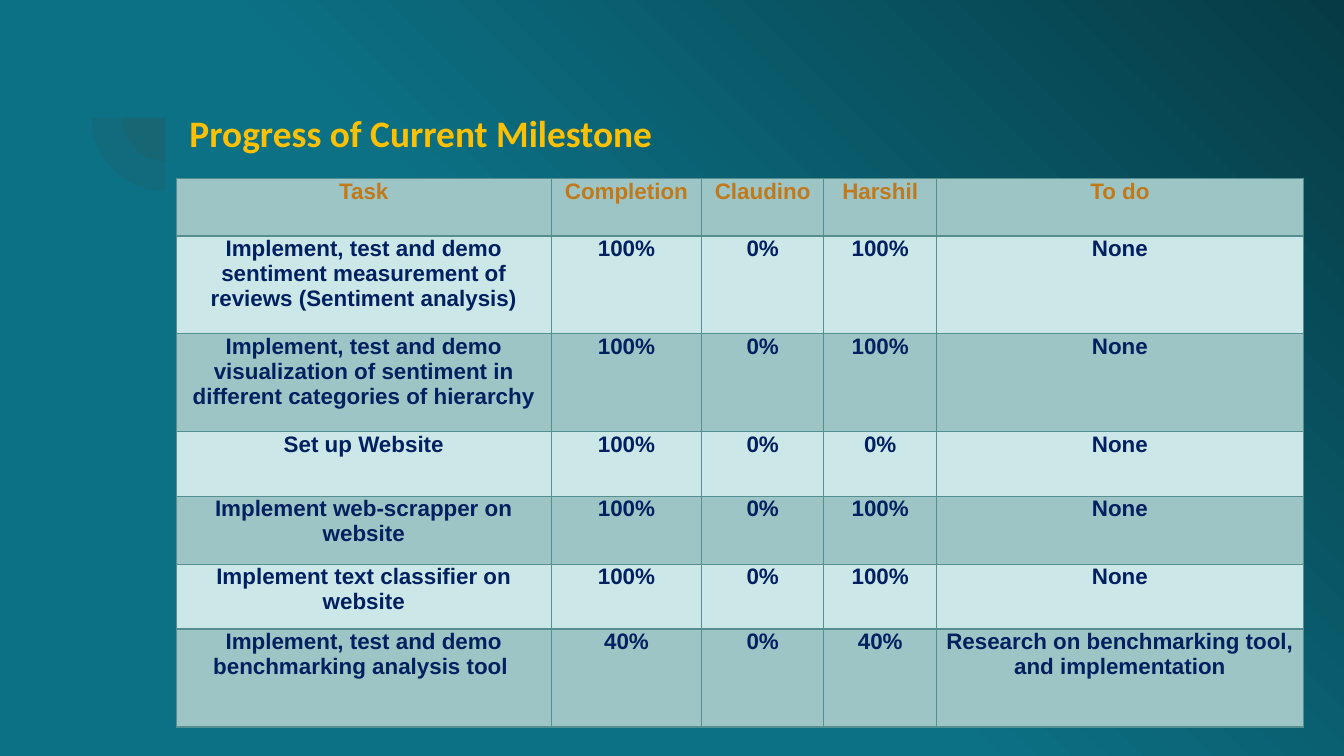
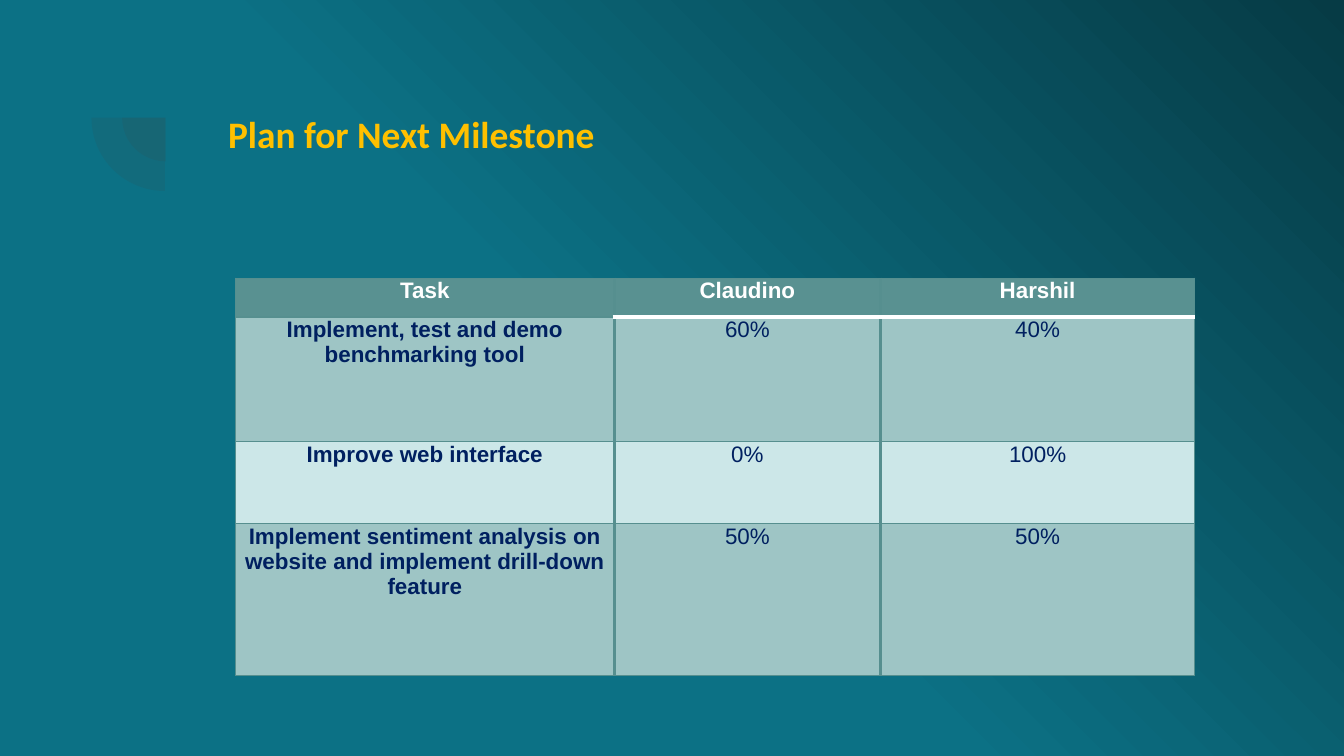
"""Builds two milestone slides, each a title above a task table."""
from pptx import Presentation
from pptx.dml.color import RGBColor
from pptx.enum.shapes import MSO_SHAPE as Shape
from pptx.enum.text import MSO_ANCHOR as Anchor, MSO_AUTO_SIZE as AutoSize, PP_ALIGN as Align
from pptx.oxml import parse_xml
from pptx.oxml.ns import nsdecls
from pptx.util import Cm, Pt

TEAL, DARK_TEAL, GOLD, GREY = "0C7185", "063B45", "FFC000", "424242"
NAVY, WHITE, ORANGE = "002060", "FFFFFF", "C0791B"
HEADER, BAND, PALE, GRID = "599191", "9EC5C5", "CCE7E8", "568F8F"
THIN, THICK = 0.75, 2

PIES = [(2.31, 1.4, 1.65), (1.73, 0.84, 2.77)]

SLIDES = [
    {
        "title": "Progress of Current Milestone",
        "title_at": (3.33, 1.83, 19.53, 1.88),
        "title_inset": 0.25,
        "table_at": (3.33, 3.38),
        "columns": [7.09, 2.84, 2.31, 2.13, 6.93],
        "heights": [1.08, 1.85, 1.85, 1.22, 1.29, 1.22, 1.85],
        "header": (BAND, ORANGE),
        "bands": (PALE, BAND),
        "bold_values": True,
        "column_line": THIN,
        "header_rule": (GRID, THIN),
        "rows": [
            ("Task", "Completion", "Claudino", "Harshil", "To do"),
            ("Implement, test and demo sentiment measurement of reviews (Sentiment analysis)",
             "100%", "0%", "100%", "None"),
            ("Implement, test and demo visualization of sentiment in different categories "
             "of hierarchy", "100%", "0%", "100%", "None"),
            ("Set up Website", "100%", "0%", "0%", "None"),
            ("Implement web-scrapper on website", "100%", "0%", "100%", "None"),
            ("Implement text classifier on website", "100%", "0%", "100%", "None"),
            ("Implement, test and demo benchmarking analysis tool ", "40%", "0%", "40%",
             "Research on benchmarking tool, and implementation"),
        ],
    },
    {
        "title": "Plan for Next Milestone",
        "title_at": (4.06, 1.98, 11.86, 1.12),
        "title_inset": 0.13,
        "table_at": (4.45, 5.26),
        "columns": [7.16, 5.03, 5.94],
        "heights": [0.73, 2.36, 1.55, 2.87],
        "header": (HEADER, WHITE),
        "bands": (BAND, PALE),
        "bold_values": False,
        "column_line": THICK,
        "header_rule": (WHITE, THICK),
        "rows": [
            ("Task", "Claudino", "Harshil"),
            ("Implement, test and demo benchmarking tool", "60%", "40%"),
            ("Improve web interface", "0%", "100%"),
            ("Implement sentiment analysis on website and implement drill-down feature",
             "50%", "50%"),
        ],
    },
]


def rgb(color):
    """Turn a hex string into a colour."""
    return RGBColor.from_string(color)


def style_font(para, name, size, color, bold):
    """Format every run of a paragraph."""
    for span in para.runs:
        span.font.name, span.font.size, span.font.bold = name, Pt(size), bold
        span.font.color.rgb = rgb(color)


def paint_background(master):
    """Give the master a radial gradient from the lower left corner."""
    master.background.fill.solid()
    properties = master.element.xpath(".//p:bgPr")[0]
    stops = "".join(
        f'<a:gs pos="{place * 1000}"><a:srgbClr val="{color}"/></a:gs>'
        for place, color in [(0, TEAL), (46, TEAL), (100, DARK_TEAL)])
    gradient = parse_xml(
        f'<a:gradFill {nsdecls("a")} rotWithShape="1"><a:gsLst>{stops}</a:gsLst>'
        '<a:path path="circle"><a:fillToRect t="100000" r="100000"/></a:path></a:gradFill>')
    properties.replace(properties[0], gradient)


def add_pies(page):
    """Draw the two faint quarter circles beside the title."""
    for left, top, size in PIES:
        pie = page.shapes.add_shape(Shape.PIE, Cm(left), Cm(top), Cm(size), Cm(size))
        pie.adjustments[0], pie.adjustments[1] = 107.93, 162
        pie.rotation = 270
        pie.shadow.inherit = False
        pie.line.fill.background()
        pie.fill.solid()
        pie.fill.fore_color.rgb = rgb(GREY)
        color = pie.element.xpath("./p:spPr/a:solidFill/a:srgbClr")[0]
        color.append(parse_xml(f'<a:alpha {nsdecls("a")} val="12000"/>'))


def write_title(page, content):
    """Place, fill and format the title placeholder."""
    box = page.shapes.title
    box.left, box.top, box.width, box.height = map(Cm, content["title_at"])
    frame = box.text_frame
    frame.text = content["title"]
    frame.word_wrap, frame.auto_size = True, AutoSize.NONE
    frame.vertical_anchor = Anchor.TOP
    frame.margin_left = frame.margin_right = Cm(0.25)
    frame.margin_top = frame.margin_bottom = Cm(content["title_inset"])
    frame.paragraphs[0].alignment = Align.LEFT
    style_font(frame.paragraphs[0], "Calibri", 20, GOLD, True)


def draw_borders(cell, borders):
    """Line a cell on its left, right, top and bottom sides."""
    properties = cell._tc.get_or_add_tcPr()
    for index, (side, (color, width)) in enumerate(zip("LRTB", borders)):
        properties.insert(index, parse_xml(
            f'<a:ln{side} {nsdecls("a")} w="{Pt(width)}"><a:solidFill>'
            f'<a:srgbClr val="{color}"/></a:solidFill></a:ln{side}>'))


def add_task_table(page, content):
    """Build the task table with its bands and borders."""
    rows, columns, heights = content["rows"], content["columns"], content["heights"]
    left, top = content["table_at"]
    table = page.shapes.add_table(
        len(rows), len(columns), Cm(left), Cm(top), Cm(sum(columns)), Cm(sum(heights))).table
    for column, width in zip(table.columns, columns):
        column.width = Cm(width)
    for row, height in zip(table.rows, heights):
        row.height = Cm(height)

    def upright(edge):
        """Return the vertical line at a column edge."""
        inner = 0 < edge < len(columns)
        return GRID, content["column_line"] if inner else THIN

    def level(edge, column):
        """Return the horizontal line at a row edge."""
        return content["header_rule"] if edge == 1 and column > 0 else (GRID, THIN)

    for r, row in enumerate(rows):
        for c, text in enumerate(row):
            cell = table.cell(r, c)
            cell.text = text
            cell.margin_left = cell.margin_right = Cm(0.18)
            cell.margin_top = cell.margin_bottom = 0
            fill, ink = content["header"] if r == 0 else (content["bands"][(r - 1) % 2], NAVY)
            cell.fill.solid()
            cell.fill.fore_color.rgb = rgb(fill)
            para = cell.text_frame.paragraphs[0]
            para.alignment = Align.CENTER
            style_font(para, "Arial", 12, ink, r == 0 or c == 0 or content["bold_values"])
            draw_borders(cell, [upright(c), upright(c + 1), level(r, c), level(r + 1, c)])


def main():
    """Build and save the deck."""
    deck = Presentation()
    deck.slide_width, deck.slide_height = Cm(25.4), Cm(14.29)
    paint_background(deck.slide_master)
    for content in SLIDES:
        page = deck.slides.add_slide(deck.slide_layouts[5])
        add_pies(page)
        write_title(page, content)
        add_task_table(page, content)
    deck.save("out.pptx")


if __name__ == "__main__":
    main()
